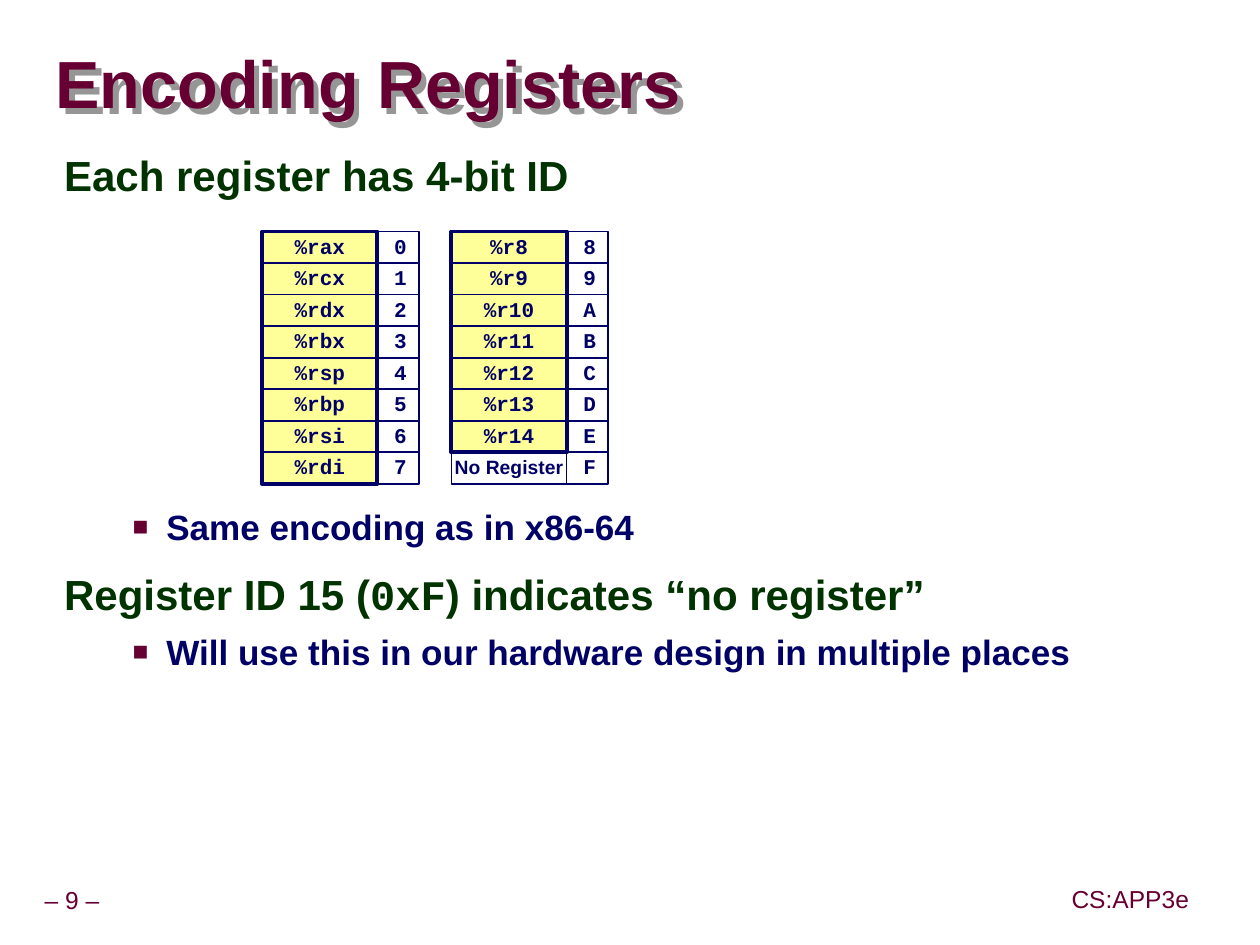
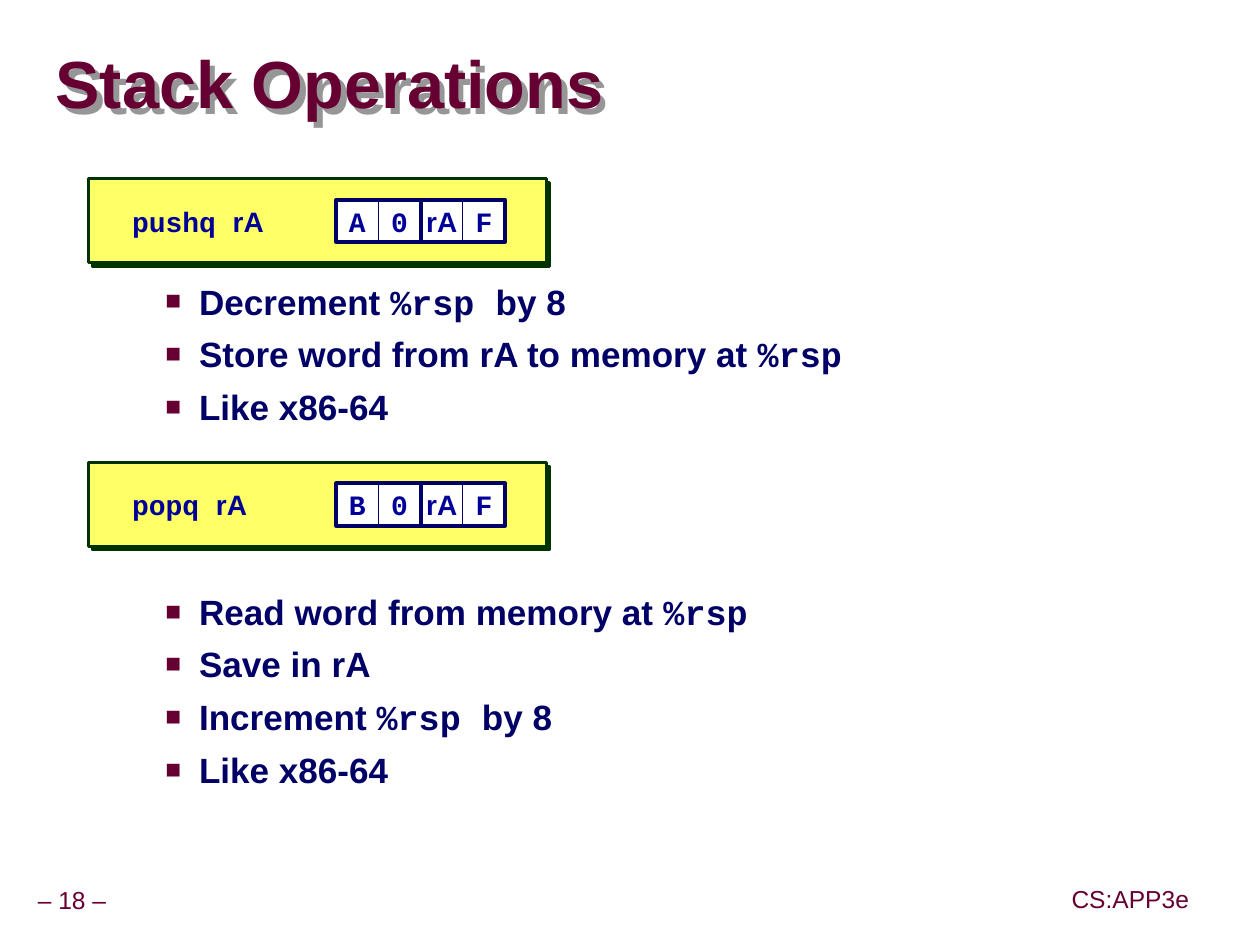
from dataclasses import dataclass

from lxml.etree import SubElement
from pptx import Presentation
from pptx.dml.color import RGBColor
from pptx.enum.shapes import MSO_SHAPE
from pptx.enum.text import MSO_ANCHOR, MSO_AUTO_SIZE, PP_ALIGN
from pptx.oxml.ns import qn
from pptx.util import Cm, Pt


@dataclass(frozen=True)
class Theme:
    sans: str = "Arial"
    mono: str = "Courier New"
    maroon: str = "660033"
    green: str = "003300"
    navy: str = "000066"
    blue: str = "000099"
    cream: str = "FFFF99"
    yellow: str = "FFFF66"
    white: str = "FFFFFF"
    grey: str = "969696"
    title: int = 38
    heading: int = 24
    bullet: int = 20
    code: int = 16
    footer: int = 14
    register: int = 12
    note: int = 11


T = Theme()


def put(obj, **values):
    for name, value in values.items():
        setattr(obj, name, value)


def add_shadow(shape, color, dist):
    shape.shadow.inherit = False
    effects = shape._element.spPr.find(qn("a:effectLst"))
    outer = SubElement(effects, qn("a:outerShdw"), dist=str(Pt(dist)), dir="2700000",
                       algn="ctr", rotWithShape="0")
    SubElement(outer, qn("a:srgbClr"), val=color)


def add_bullet(p):
    pPr = p._p.get_or_add_pPr()
    pPr.set("marL", str(Cm(2.06)))
    pPr.set("indent", str(-Cm(0.68)))
    SubElement(SubElement(pPr, qn("a:buClr")), qn("a:srgbClr"), val=T.maroon)
    SubElement(pPr, qn("a:buSzPct"), val="75000")
    SubElement(pPr, qn("a:buFont"), typeface=T.sans)
    SubElement(pPr, qn("a:buChar"), char="■")


def write(p, text, size, color, bold=True, **layout):
    put(p, **layout)
    for i, part in enumerate(text.split("`")):
        if part:
            r = p.add_run()
            r.text = part
            put(r.font, size=Pt(size), bold=bold, name=T.mono if i % 2 else T.sans)
            r.font.color.rgb = RGBColor.from_string(color)


def add_text(shapes, box, inset=None, wrap=False, anchor=MSO_ANCHOR.MIDDLE):
    sp = shapes.add_textbox(*box)
    tf = sp.text_frame
    put(tf, word_wrap=wrap, auto_size=MSO_AUTO_SIZE.NONE, vertical_anchor=anchor)
    if inset is not None:
        put(tf, margin_left=inset, margin_right=inset, margin_top=inset, margin_bottom=inset)
    return sp


def add_rect(shapes, box, line, weight, fill=None):
    sp = shapes.add_shape(MSO_SHAPE.RECTANGLE, *box)
    sp.shadow.inherit = False
    if fill:
        sp.fill.solid()
        sp.fill.fore_color.rgb = RGBColor.from_string(fill)
    else:
        sp.fill.background()
    sp.line.color.rgb = RGBColor.from_string(line)
    sp.line.width = Pt(weight)
    return sp


def add_cell(shapes, box, text, size, color, weight, fill=None, **layout):
    sp = add_rect(shapes, box, T.navy, weight, fill)
    put(sp.text_frame, word_wrap=False, vertical_anchor=MSO_ANCHOR.MIDDLE)
    write(sp.text_frame.paragraphs[0], text, size, color, **layout)


def add_slide(prs, title, number):
    s = prs.slides.add_slide(prs.slide_layouts[6])
    footers = [(f"– {number} –", (Cm(0.61), Cm(17.75), Cm(1.68), Cm(0.79))),
               ("CS:APP3e", (Cm(21.44), Cm(17.73), Cm(2.64), Cm(0.81)))]
    for text, box in footers:
        sp = add_text(s.shapes, box, Cm(0.13))
        write(sp.text_frame.paragraphs[0], text, T.footer, T.maroon, bold=False,
              alignment=PP_ALIGN.CENTER, line_spacing=0.9)
    sp = add_text(s.shapes, (Cm(1.12), Cm(0.69), Cm(24.18), Cm(2.16)), 0, wrap=True)
    write(sp.text_frame.paragraphs[0], title, T.title, T.maroon, line_spacing=0.87)
    add_shadow(sp, T.grey, 4.5)
    return s


def add_body(s, box, items):
    tf = add_text(s.shapes, box, wrap=True, anchor=MSO_ANCHOR.TOP).text_frame
    for i, (level, text, before) in enumerate(items):
        p = tf.add_paragraph() if i else tf.paragraphs[0]
        if level:
            write(p, text, T.bullet, T.navy, space_before=Pt(before))
            add_bullet(p)
        else:
            write(p, text, T.heading, T.green, space_before=Pt(before), line_spacing=0.95)


def add_registers(s, left, names, first_id, filled):
    shapes = s.shapes.add_group_shape().shapes
    top, name_w, id_w, row_h = Cm(4.66), Cm(2.32), Cm(0.84), Cm(5.08) // 8
    add_rect(shapes, (left, top, name_w, row_h * filled), T.navy, 2.25, T.cream)
    for i, name in enumerate(names):
        y = top + i * row_h
        size = T.register if i < filled else T.note
        add_cell(shapes, (left, y, name_w, row_h), name, size, T.navy, 1,
                 alignment=PP_ALIGN.CENTER, line_spacing=0.9)
        add_cell(shapes, (left + name_w, y, id_w, row_h), f"`{first_id + i:X}`", T.register,
                 T.navy, 1, alignment=PP_ALIGN.RIGHT, line_spacing=0.9)


def add_instruction(s, top, label, fields):
    shapes = s.shapes.add_group_shape().shapes
    panel = add_rect(shapes, (Cm(1.78), top, Cm(9.22), Cm(1.69)), T.green, 1.5, T.yellow)
    add_shadow(panel, T.green, 2.8)
    left, y, side = Cm(6.77), top + Cm(0.42), Cm(0.85)
    sp = add_text(shapes, (Cm(2.41), y, Cm(5.28), side))
    write(sp.text_frame.paragraphs[0], label, T.code, T.blue)
    for i, field in enumerate(fields):
        x = left + i * side
        add_cell(shapes, (x, y, side, side), field, T.code, T.blue, 0.5, T.white,
                 alignment=PP_ALIGN.CENTER)
        if i % 2:
            add_rect(shapes, (x - side, y, 2 * side, side), T.navy, 2.25)


def registers_slide(prs):
    s = add_slide(prs, "Encoding Registers", 9)
    add_body(s, (Cm(1.04), Cm(2.95), Cm(23.04), Cm(14.68)), [
        (0, "Each register has 4-bit ID", 0),
        (1, "Same encoding as in x86-64", 174),
        (0, "Register ID 15 (`0xF`) indicates “no register”", 14),
        (1, "Will use this in our hardware design in multiple places", 6),
    ])
    low = [f"`%r{name}`" for name in "ax cx dx bx sp bp si di".split()]
    high = [f"`%r{n}`" for n in range(8, 15)] + ["No Register"]
    add_registers(s, Cm(5.28), low, 0, 8)
    add_registers(s, Cm(9.09), high, 8, 7)


def stack_slide(prs):
    s = add_slide(prs, "Stack Operations", 18)
    add_body(s, (Cm(1.7), Cm(5.51), Cm(21.39), Cm(11)), [
        (1, "Decrement `%rsp `by 8", 0),
        (1, "Store word from rA to memory at `%rsp`", 6),
        (1, "Like x86-64", 6),
        (1, "Read word from memory at `%rsp`", 93),
        (1, "Save in rA", 6),
        (1, "Increment `%rsp `by 8", 6),
        (1, "Like x86-64", 6),
    ])
    for top, name, code in [(Cm(3.6), "pushq", "A"), (Cm(9.31), "popq", "B")]:
        add_instruction(s, top, f"`{name} `rA", [f"`{code}`", "`0`", "rA", "`F`"])


def main():
    prs = Presentation()
    put(prs, slide_width=Cm(25.37), slide_height=Cm(19.02))
    registers_slide(prs)
    stack_slide(prs)
    prs.save("out.pptx")


main()
